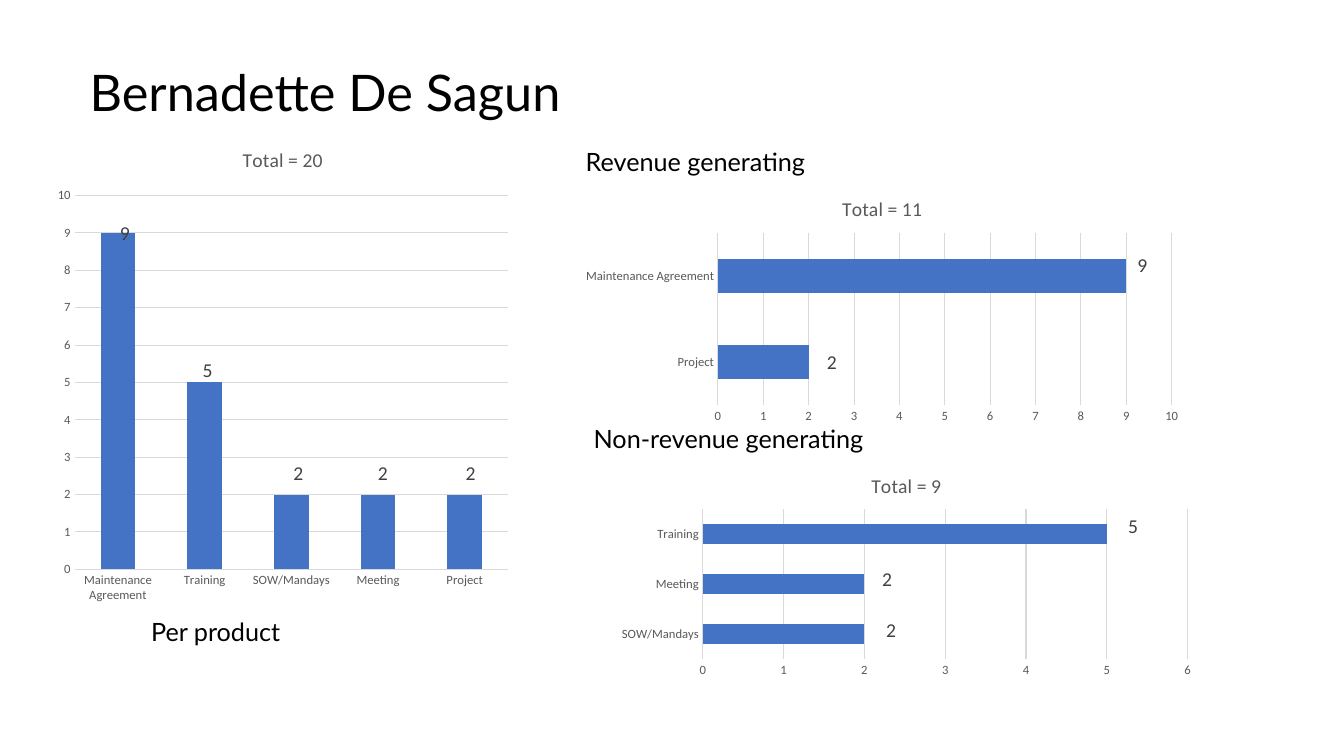
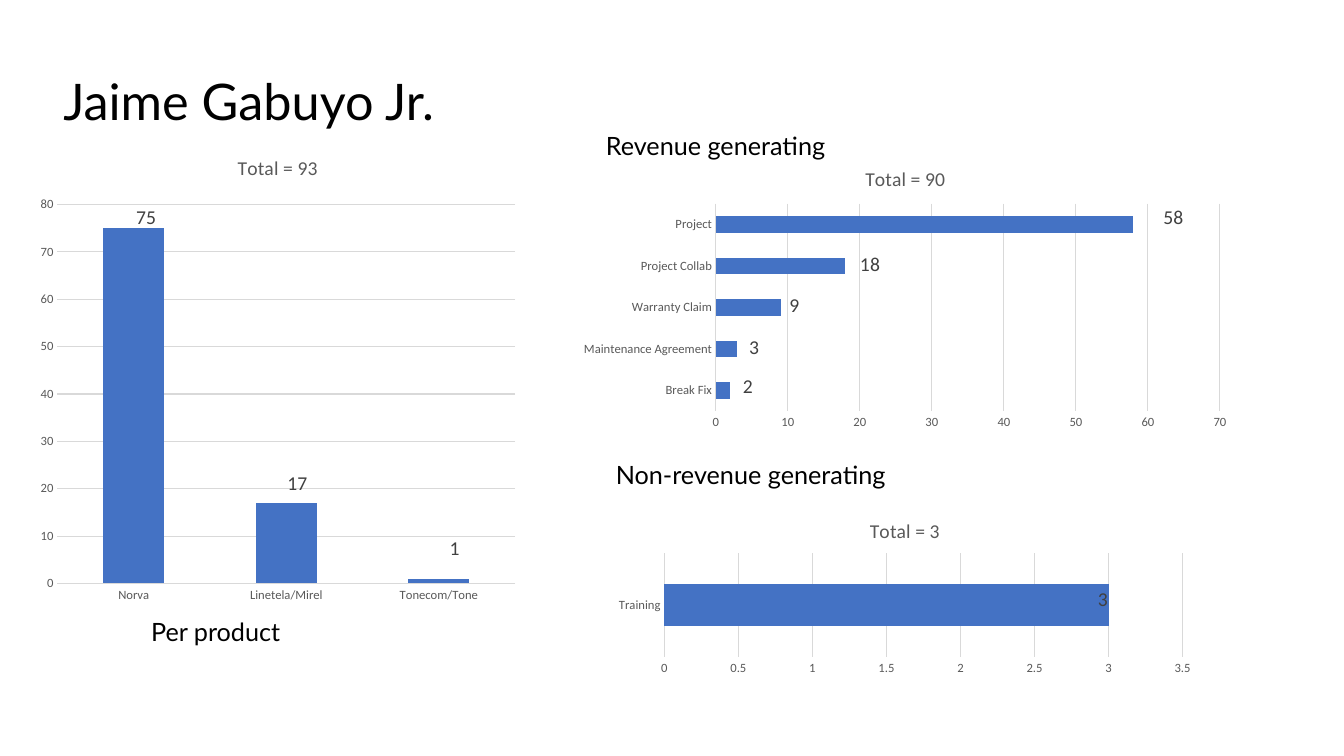
import pptx
import pptx.chart.data
import pptx.dml.color
import pptx.enum.chart
import pptx.oxml
import pptx.oxml.ns
import pptx.util

Inches = pptx.util.Inches
Pt = pptx.util.Pt
RGBColor = pptx.dml.color.RGBColor
Kind = pptx.enum.chart.XL_CHART_TYPE
Tick = pptx.enum.chart.XL_TICK_MARK

BLACK = RGBColor(0x00, 0x00, 0x00)
GREY = RGBColor(0x59, 0x59, 0x59)
DARK = RGBColor(0x40, 0x40, 0x40)
GRID = RGBColor(0xD9, 0xD9, 0xD9)
BLUE = RGBColor(0x44, 0x72, 0xC4)
HEAD_FONT = "Lato"
CHART_FONT = "Calibri"

# Boxes are (left, top, width, height) in inches; spots are label centres.
PEOPLE = [
    {
        "name": ("Bernadette De Sagun", (0.79, 0.56, 5.42, 0.71)),
        "heads": [(5.71, 1.4), (5.79, 4.15)],
        "charts": [
            {"kind": Kind.COLUMN_STACKED, "total": 20, "top": 10, "step": 1,
             "box": (0.48, 1.27, 4.65, 4.8), "plot": (0.74, 1.94, 4.3, 3.71),
             "rows": [("Maintenance Agreement", 9, (1.24, 2.32)),
                      ("Training", 5, (2.06, 3.68)),
                      ("SOW/Mandays", 2, (2.96, 4.7)),
                      ("Meeting", 2, (3.8, 4.7)),
                      ("Project", 2, (4.67, 4.7))]},
            {"kind": Kind.BAR_STACKED, "total": 11, "top": 10, "step": 1,
             "box": (5.69, 1.8, 6.12, 2.45), "plot": (7.12, 2.31, 4.5, 1.71),
             "rows": [("Project", 2, (8.25, 3.6)),
                      ("Maintenance Agreement", 9, (11.33, 2.64))]},
            {"kind": Kind.BAR_STACKED, "total": 9, "top": 6, "step": 1,
             "box": (6.05, 4.55, 5.88, 2.21), "plot": (6.97, 5.05, 4.81, 1.49),
             "rows": [("SOW/Mandays", 2, (8.84, 6.26)),
                      ("Meeting", 2, (8.8, 5.75)),
                      ("Training", 5, (11.24, 5.23))]},
        ],
    },
    {
        "name": ("Jaime Gabuyo Jr.", (0.53, 0.65, 4.53, 0.71)),
        "heads": [(5.91, 1.24), (6.01, 4.51)],
        "charts": [
            {"kind": Kind.COLUMN_STACKED, "total": 93, "top": 80, "step": 10,
             "box": (0.3, 1.35, 4.91, 4.71), "plot": (0.57, 2.03, 4.54, 3.76),
             "rows": [("Norva", 75, (1.45, 2.16)),
                      ("Linetela/Mirel", 17, (2.95, 4.8)),
                      ("Tonecom/Tone", 1, (4.51, 5.44))]},
            {"kind": Kind.BAR_STACKED, "total": 90, "top": 70, "step": 10,
             "box": (5.66, 1.49, 6.64, 2.83), "plot": (7.1, 2.02, 5, 2.06),
             "rows": [("Break Fix", 2, (7.42, 3.84)),
                      ("Maintenance Agreement", 3, (7.48, 3.45)),
                      ("Warranty Claim", 9, (7.88, 3.03)),
                      ("Project Collab", 18, (8.63, 2.63)),
                      ("Project", 58, (11.64, 2.16))]},
            {"kind": Kind.BAR_STACKED, "total": 3, "top": 3.5, "step": 0.5,
             "box": (6.02, 5.01, 5.91, 1.73), "plot": (6.59, 5.49, 5.14, 1.03),
             "rows": [("Training", 3, (10.94, 5.95))]},
        ],
    },
]


def add_text(slide, text, box, size):
    frame = slide.shapes.add_textbox(*map(Inches, box)).text_frame
    frame.word_wrap = True
    para = frame.paragraphs[0]
    para.text = text
    set_font(para.font, size, BLACK, HEAD_FONT)


def set_font(font, size, color, name=CHART_FONT):
    font.size = Pt(size)
    font.name = name
    font.bold = False
    font.color.rgb = color


def make_layout(inner=False, **parts):
    """Build a manual layout from fractions of the chart's size."""
    body = '<c:layoutTarget val="inner"/>' if inner else ""
    if inner:
        body += '<c:xMode val="edge"/><c:yMode val="edge"/>'
    body += "".join(f'<c:{key} val="{val:.4f}"/>' for key, val in parts.items())
    return pptx.oxml.parse_xml(
        f'<c:layout {pptx.oxml.ns.nsdecls("c")}>'
        f"<c:manualLayout>{body}</c:manualLayout></c:layout>")


def style_axis(axis):
    axis.major_tick_mark = axis.minor_tick_mark = Tick.NONE
    axis.format.line.fill.background()
    set_font(axis.tick_labels.font, 9, GREY)


def set_scale(axis, top, step):
    style_axis(axis)
    axis.minimum_scale = 0
    axis.maximum_scale = top
    axis.major_unit = step
    line = axis.major_gridlines.format.line
    line.color.rgb = GRID
    line.width = Pt(0.75)


def place_plot(chart, item):
    left, top, width, height = item["box"]
    x, y, w, h = item["plot"]
    area = chart.plots[0]._element.getparent()
    for old in area.findall(pptx.oxml.ns.qn("c:layout")):
        area.remove(old)
    area.insert(0, make_layout(True, x=(x - left) / width, y=(y - top) / height,
                               w=w / width, h=h / height))


def hide_leaders(series):
    """Turn off the lines that join moved labels to their bars."""
    labels = series.data_labels._element
    for node in labels.xpath("c:showLeaderLines"):
        node.set("val", "0")
    labels.append(pptx.oxml.parse_xml(
        f'<c:extLst {pptx.oxml.ns.nsdecls("c")}>'
        '<c:ext uri="{CE6537A1-D6FC-4f65-9D91-7224C49458BB}" xmlns:c15='
        '"http://schemas.microsoft.com/office/drawing/2012/chart">'
        '<c15:showLeaderLines val="0"/></c:ext></c:extLst>'))


def add_labels(series, item):
    """Move each label from the middle of its bar to its spot."""
    x, y, w, h = item["plot"]
    rows = item["rows"]
    for i, (_, val, spot) in enumerate(rows):
        slot = (i + 0.5) / len(rows)
        mid = val / item["top"] / 2
        if item["kind"] == Kind.COLUMN_STACKED:
            bar = (x + slot * w, y + (1 - mid) * h)
        else:
            bar = (x + mid * w, y + (1 - slot) * h)
        label = series.points[i].data_label
        set_font(label.font, 14, DARK)
        label.position = pptx.enum.chart.XL_LABEL_POSITION.CENTER
        node = series._element.xpath(f'c:dLbls/c:dLbl[c:idx/@val="{i}"]')[0]
        node.insert(1, make_layout(x=(spot[0] - bar[0]) / item["box"][2],
                                   y=(spot[1] - bar[1]) / item["box"][3]))
    hide_leaders(series)


def add_bars(slide, item):
    data = pptx.chart.data.CategoryChartData()
    data.categories = [row[0] for row in item["rows"]]
    data.add_series("Series 1", [row[1] for row in item["rows"]])
    chart = slide.shapes.add_chart(
        item["kind"], *map(Inches, item["box"]), data).chart
    set_font(chart.font, 10, BLACK)
    chart.has_legend = False
    chart.has_title = True
    para = chart.chart_title.text_frame.paragraphs[0]
    para.text = f'Total = {item["total"]}'
    set_font(para.font, 14, GREY)
    chart.chart_title.include_in_layout = False

    style_axis(chart.category_axis)
    set_scale(chart.value_axis, item["top"], item["step"])
    place_plot(chart, item)

    plot = chart.plots[0]
    plot.gap_width = 150
    plot.overlap = 100
    plot.vary_by_categories = False
    series = plot.series[0]
    series.format.fill.solid()
    series.format.fill.fore_color.rgb = BLUE
    add_labels(series, item)


def add_person(deck, person):
    slide = deck.slides.add_slide(deck.slide_layouts[6])
    # Title and chart headings
    add_text(slide, *person["name"], 36)
    add_text(slide, "Per product", (1.4, 6.07, 1.58, 0.4), 18)
    heads = [("Revenue generating", 2.61), ("Non-revenue generating", 3.14)]
    for (text, width), spot in zip(heads, person["heads"]):
        add_text(slide, text, (*spot, width, 0.4), 18)
    # Charts
    for item in person["charts"]:
        add_bars(slide, item)


def main():
    deck = pptx.Presentation()
    deck.slide_width = Inches(13.33)
    deck.slide_height = Inches(7.5)
    for person in PEOPLE:
        add_person(deck, person)
    deck.save("out.pptx")


if __name__ == "__main__":
    main()
